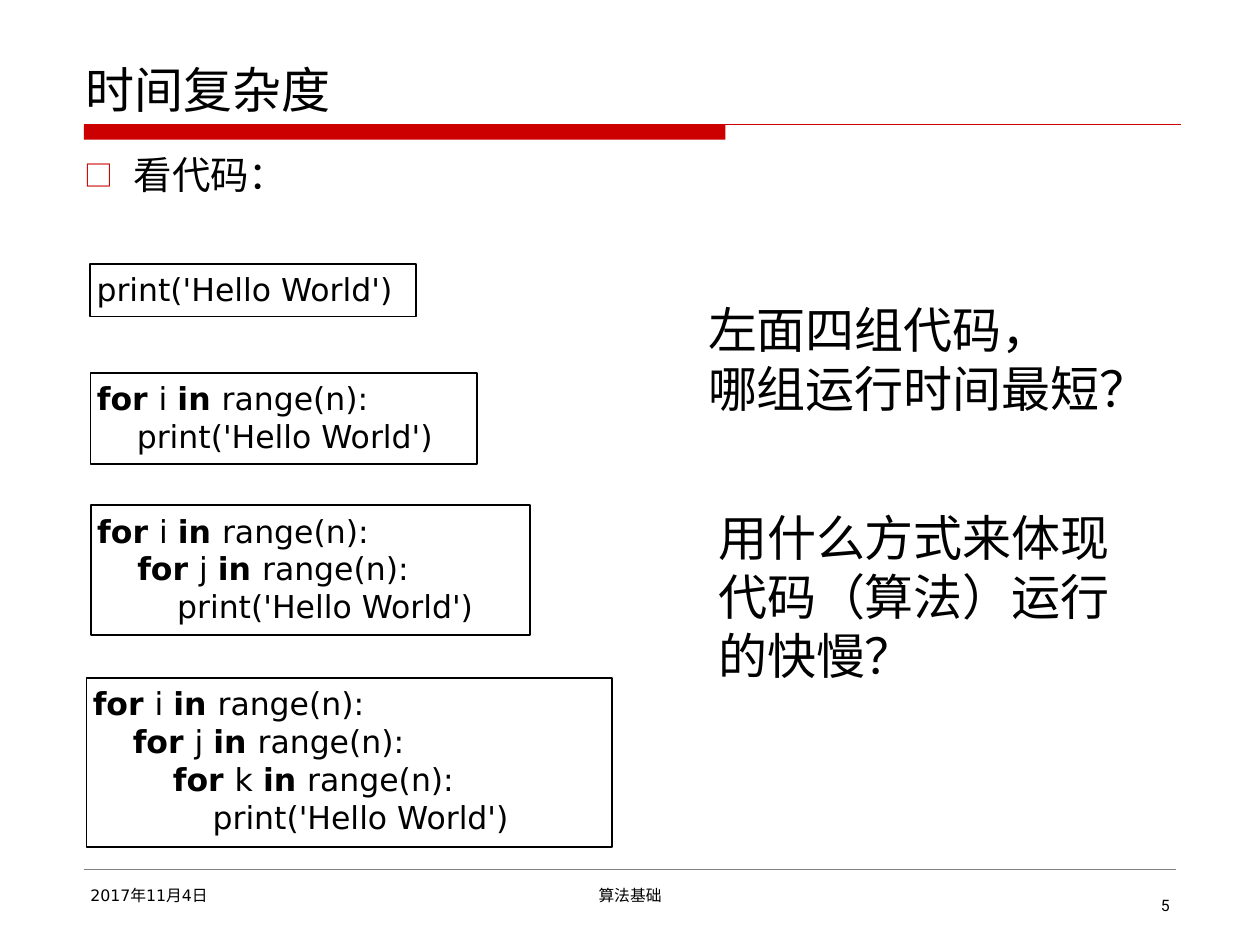
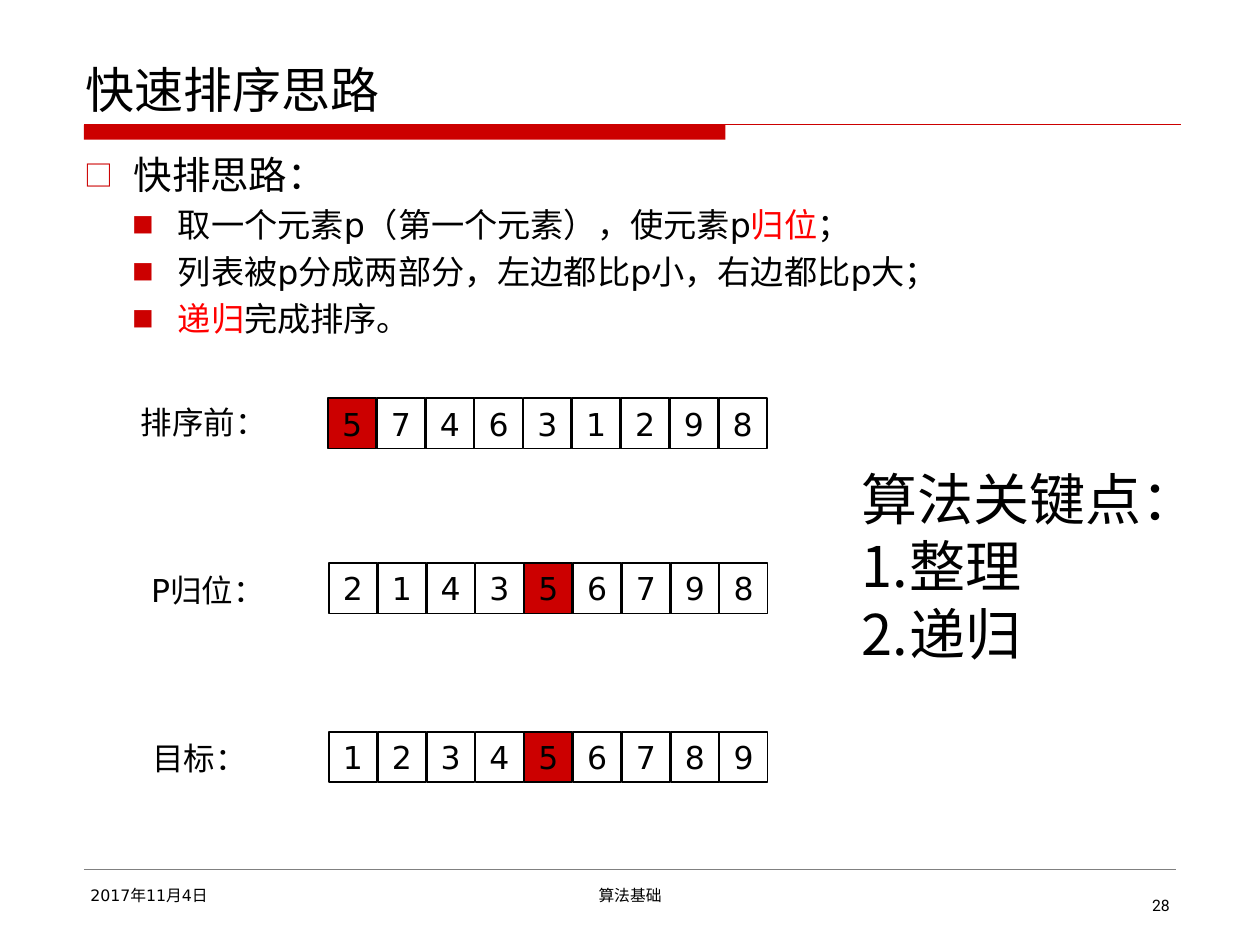
from dataclasses import dataclass
from itertools import groupby
from typing import NamedTuple

from lxml import etree
from pptx import Presentation
from pptx import util as u
from pptx.dml import color
from pptx.enum import shapes, text
from pptx.oxml import ns

Pt = u.Pt


@dataclass(frozen=True)
class Theme:
    red: str = "CC0000"
    hot: str = "FF0000"
    ink: str = "000000"
    paper: str = "FFFFFF"
    rule: str = "808080"
    latin: str = "DejaVu Sans"
    asian: str = "Noto Sans CJK SC"
    digit: str = "Roboto"
    huge: float = 32
    title: float = 28
    body: float = 22
    point: float = 19
    code: float = 18
    foot: float = 9
    inset: float = 3.6


class Box(NamedTuple):
    left: float
    top: float
    width: float
    height: float


class Bullet(NamedTuple):
    sign: str
    left: float
    hang: float
    scale: int = 100


class Para(NamedTuple):
    words: str
    size: float
    bullet: Bullet | None = None
    before: float = 0


class Code(NamedTuple):
    box: Box
    loops: str


class Row(NamedTuple):
    label: str
    spot: Box
    left: float
    top: float
    items: str


THEME = Theme()
ALIGN = text.PP_ALIGN
ANCHOR = text.MSO_ANCHOR
MAIN = Bullet("□", 28, 28, 75)
SUB = Bullet("■", 53.3, 26, 65)
COUNT = Bullet("", 27.4, 27.4)
BODY = Box(44.8, 82.8, 630, 391)
STEP = 27.9
CELL = 27.4

CODES = [
    Code(Box(51.6, 150.7, 186, 30.2), ""),
    Code(Box(51.8, 213, 221, 52.3), "i"),
    Code(Box(52, 288.8, 250.8, 74.2), "ij"),
    Code(Box(49.4, 387.5, 300.4, 96.5), "ijk"),
]

ROWS = [
    Row("排序前：", Box(77, 226.8, 88, 32.4), 187.5, 227.6, "574631298"),
    Row("P归位：", Box(82.8, 322.6, 88, 32.4), 188, 321.8, "214356798"),
    Row("目标：", Box(83.5, 419, 88, 32.4), 188, 418.3, "123456789"),
]


def paint(value: str) -> color.RGBColor:
    return color.RGBColor.from_string(value)


def add(parent, tag: str, **attrs: str):
    node = etree.SubElement(parent, ns.qn(tag))
    for key, value in attrs.items():
        node.set(key, value)
    return node


def mark(para, bullet: Bullet) -> None:
    props = para._p.get_or_add_pPr()
    props.set("marL", str(Pt(bullet.left)))
    props.set("indent", str(-Pt(bullet.hang)))
    if not bullet.sign:
        add(props, "a:buAutoNum", type="arabicPeriod")
        return
    add(add(props, "a:buClr"), "a:srgbClr", val=THEME.red)
    add(props, "a:buSzPct", val=str(bullet.scale * 1000))
    add(props, "a:buFont", typeface=THEME.asian)
    add(props, "a:buChar", char=bullet.sign)


def add_run(para, words: str, face: str, size: float, bold: bool, ink: str) -> None:
    run = para.add_run()
    run.text = words
    font = run.font
    font.size, font.bold, font.name = Pt(size), bold, face
    font.color.rgb = paint(ink)
    add(run._r.get_or_add_rPr(), "a:ea", typeface=face)


def write(shape, paras: list[Para], *, align=ALIGN.LEFT, anchor=ANCHOR.TOP,
          face: str = "", bold: bool = False, ink: str = THEME.ink) -> None:
    frame = shape.text_frame
    frame.word_wrap, frame.vertical_anchor = True, anchor
    frame.margin_left = frame.margin_right = Pt(THEME.inset)
    frame.margin_top = frame.margin_bottom = Pt(THEME.inset)
    for num, item in enumerate(paras):
        para = frame.add_paragraph() if num else frame.paragraphs[0]
        para.alignment, para.space_before = align, Pt(item.before)
        if item.bullet:
            mark(para, item.bullet)
        for row, line in enumerate(item.words.split("\n")):
            if row:
                para.add_line_break()
            for part, words in enumerate(line.split("|")):
                strong = part % 2 == 1
                for plain, group in groupby(words, str.isascii):
                    add_run(para, "".join(group),
                            face or (THEME.latin if plain else THEME.asian),
                            item.size, bold and strong,
                            ink if strong else THEME.ink)


def label(slide, box: Box, paras: list[Para], **style) -> None:
    write(slide.shapes.add_textbox(*map(Pt, box)), paras, **style)


def block(slide, box: Box, fill: str, edge: str = ""):
    shape = slide.shapes.add_shape(shapes.MSO_SHAPE.RECTANGLE, *map(Pt, box))
    shape.shadow.inherit = False
    shape.fill.solid()
    shape.fill.fore_color.rgb = paint(fill)
    if edge:
        shape.line.color.rgb = paint(edge)
        shape.line.width = Pt(1)
    else:
        shape.line.fill.background()
    return shape


def rule(slide, left: float, right: float, top: float, ink: str, width: float) -> None:
    line = slide.shapes.add_connector(
        shapes.MSO_CONNECTOR.STRAIGHT, Pt(left), Pt(top), Pt(right), Pt(top))
    line.line.color.rgb = paint(ink)
    line.line.width = Pt(width)
    add(line._element.spPr, "a:effectLst")


def start(deck, title: str, page: int):
    slide = deck.slides.add_slide(deck.slide_layouts[6])
    block(slide, Box(48, 71.3, 366.5, 8.6), THEME.red)
    rule(slide, 48, 674.6, 71.3, THEME.red, 0.75)
    rule(slide, 48, 672, 496.8, THEME.rule, 0.25)
    label(slide, Box(45.4, 23.8, 630, 47.5), [Para(title, THEME.title)],
          anchor=ANCHOR.BOTTOM)
    label(slide, Box(48, 502.5, 156, 20), [Para("2017年11月4日", THEME.foot)])
    label(slide, Box(246, 502.5, 228, 20), [Para("算法基础", THEME.foot)],
          align=ALIGN.CENTER)
    label(slide, Box(652, 508.3, 20, 18), [Para(str(page), THEME.foot)],
          align=ALIGN.RIGHT, face=THEME.digit)
    return slide


def nest(loops: str) -> str:
    lines = [f"{'    ' * depth}|for |{name} |in |range(n):"
             for depth, name in enumerate(loops)]
    return "\n".join(lines + ["    " * len(loops) + "print('Hello World')"])


def draw_time(deck) -> None:
    slide = start(deck, "时间复杂度", 5)
    label(slide, BODY, [Para("看代码：", THEME.body, MAIN)])
    for code in CODES:
        write(block(slide, code.box, THEME.paper, THEME.ink),
              [Para(nest(code.loops), THEME.code)], bold=True)
    label(slide, Box(401, 167.8, 245.5, 87),
          [Para("左面四组代码，", THEME.title),
           Para("哪组运行时间最短？", THEME.title)])
    label(slide, Box(406.8, 286.6, 245.5, 127.4),
          [Para("用什么方式来体现代码（算法）运行的快慢？", THEME.title)])


def draw_row(slide, row: Row) -> None:
    label(slide, row.spot, [Para(row.label, THEME.code)])
    for num, item in enumerate(row.items):
        box = Box(row.left + num * STEP, row.top, CELL, 28.8)
        fill = THEME.red if item == "5" else THEME.paper
        write(block(slide, box, fill, THEME.ink), [Para(item, THEME.code)],
              align=ALIGN.CENTER, anchor=ANCHOR.MIDDLE)


def draw_sort(deck) -> None:
    slide = start(deck, "快速排序思路", 28)
    points = ["取一个元素p（第一个元素），使元素p|归位|；",
              "列表被p分成两部分，左边都比p小，右边都比p大；",
              "|递归|完成排序。"]
    label(slide, BODY, [Para("快排思路：", THEME.body, MAIN)]
          + [Para(point, THEME.point, SUB, 4) for point in points], ink=THEME.hot)
    for row in ROWS:
        draw_row(slide, row)
    label(slide, Box(488.9, 262, 179.3, 181.5),
          [Para("算法关键点：", THEME.huge)]
          + [Para(step, THEME.huge, COUNT) for step in ("整理", "递归")])


def main() -> None:
    deck = Presentation()
    deck.slide_width, deck.slide_height = Pt(720), Pt(540)
    draw_time(deck)
    draw_sort(deck)
    deck.save("out.pptx")


if __name__ == "__main__":
    main()
